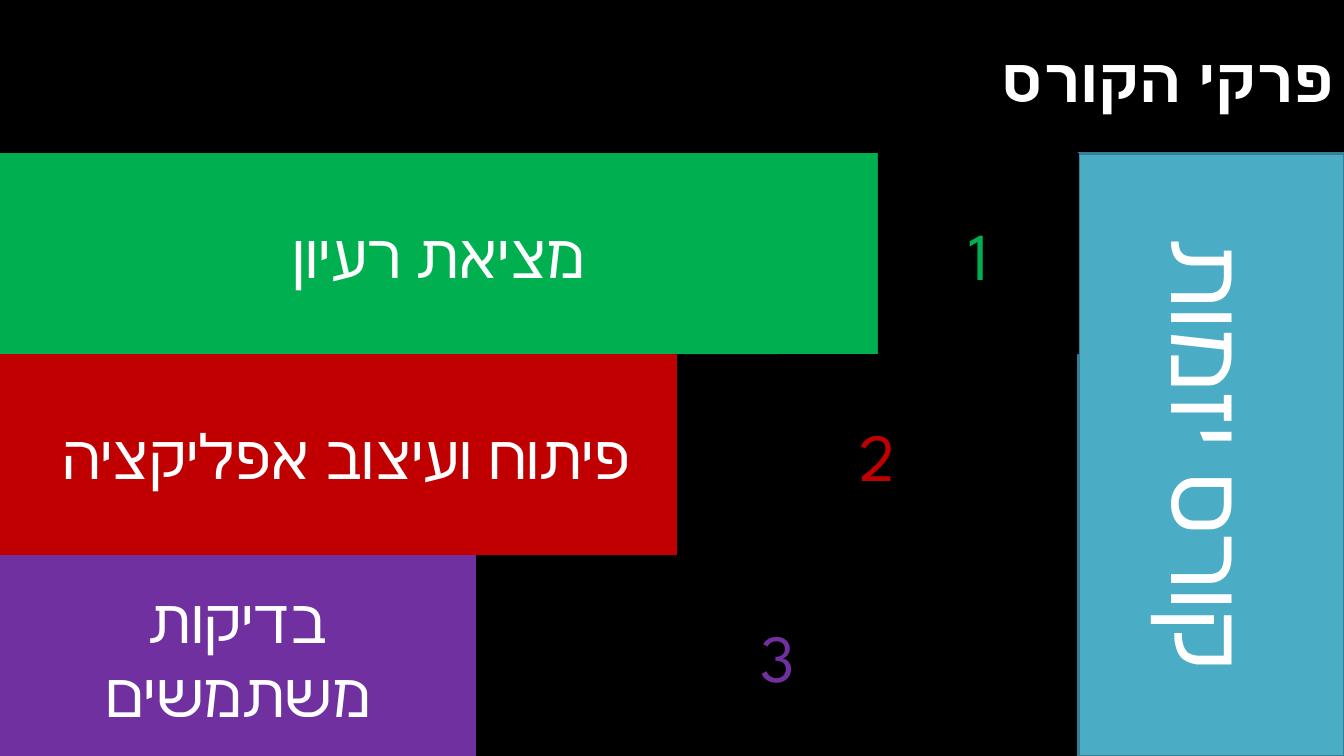
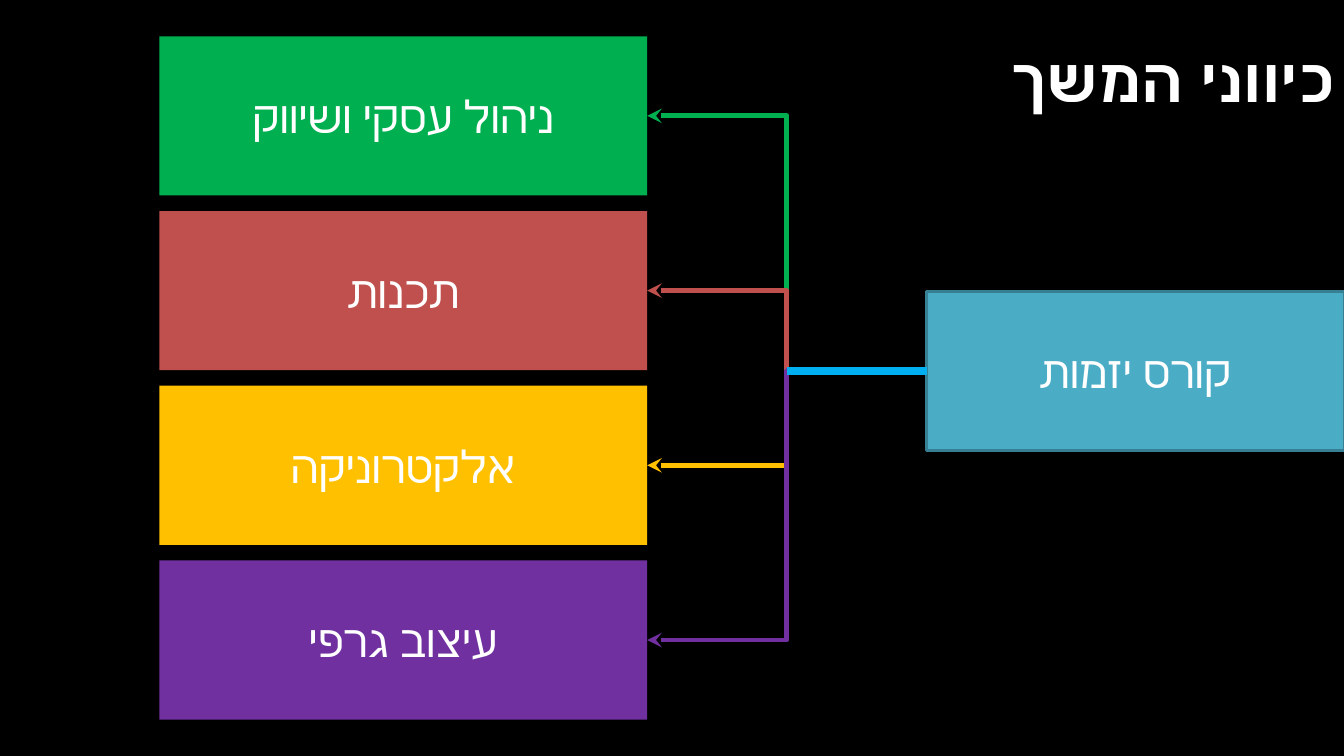
import pptx
import pptx.util
import pptx.dml.color
import pptx.enum.shapes
import pptx.enum.text
import pptx.oxml.ns
from lxml import etree

Inches, Pt = pptx.util.Inches, pptx.util.Pt
RGBColor = pptx.dml.color.RGBColor
PP_ALIGN = pptx.enum.text.PP_ALIGN
MSO_ANCHOR = pptx.enum.text.MSO_ANCHOR
MSO_SHAPE = pptx.enum.shapes.MSO_SHAPE
MSO_CONNECTOR = pptx.enum.shapes.MSO_CONNECTOR
qn = pptx.oxml.ns.qn

BLACK = RGBColor(0x00, 0x00, 0x00)
WHITE = RGBColor(0xFF, 0xFF, 0xFF)
GREEN = RGBColor(0x00, 0xB0, 0x50)
RED = RGBColor(0xC0, 0x00, 0x00)
BRICK = RGBColor(0xC0, 0x50, 0x4D)
AMBER = RGBColor(0xFF, 0xC0, 0x00)
PURPLE = RGBColor(0x70, 0x30, 0xA0)
TEAL = RGBColor(0x4B, 0xAC, 0xC6)
TEAL_EDGE = RGBColor(0x37, 0x7F, 0x92)
SKY = RGBColor(0x00, 0xB0, 0xF0)

FONT = "League Spartan"
SLIDE_W, SLIDE_H = 13.33, 7.5
COURSE = "קורס יזמות"
CHAPTERS = [
    ("מציאת רעיון", GREEN),
    ("פיתוח ועיצוב אפליקציה ", RED),
    ("בדיקות משתמשים", PURPLE),
]
DIRECTIONS = [
    ("ניהול עסקי ושיווק", GREEN),
    ("תכנות", BRICK),
    ("אלקטרוניקה", AMBER),
    ("עיצוב גרפי", PURPLE),
]


def set_text(sp, text, size, color=WHITE, align=PP_ALIGN.CENTER, bold=False):
    """Write one right-to-left paragraph, with the font set for Hebrew too."""
    tf = sp.text_frame
    tf.text = text
    tf.word_wrap = True
    tf.vertical_anchor = MSO_ANCHOR.MIDDLE
    p = tf.paragraphs[0]
    p.alignment = align
    p._p.get_or_add_pPr().set("rtl", "1")
    r = p.runs[0]
    r.font.name = FONT
    r.font.size = Pt(size)
    r.font.bold = bold
    r.font.color.rgb = color
    etree.SubElement(r._r.get_or_add_rPr(), qn("a:cs"), typeface=FONT)


def add_box(s, x, y, w, h, fill, text, size, color=WHITE, edge=None):
    sp = s.shapes.add_shape(MSO_SHAPE.RECTANGLE, Inches(x), Inches(y),
                            Inches(w), Inches(h))
    sp.shadow.inherit = False
    sp.fill.solid()
    sp.fill.fore_color.rgb = fill
    if edge is None:
        sp.line.fill.background()
    else:
        sp.line.color.rgb = edge
        sp.line.width = Pt(2)
    set_text(sp, text, size, color)
    return sp


def add_line(s, kind, start, end, color, width):
    line = s.shapes.add_connector(kind, *(Inches(v) for v in (*start, *end)))
    line.line.color.rgb = color
    line.line.width = Pt(width)
    etree.SubElement(line._element.spPr, qn("a:effectLst"))
    return line


def add_titled_slide(prs, title):
    s = prs.slides.add_slide(prs.slide_layouts[5])
    sp = s.shapes.title
    sp.left, sp.top = Inches(0.67), Inches(0)
    sp.width, sp.height = Inches(12.67), Inches(1.55)
    set_text(sp, title, 44, align=PP_ALIGN.RIGHT, bold=True)
    return s


def add_chapter_steps(s, x, y, w, h):
    """Stack bars that shorten downwards, each number centred in the gap."""
    row = h / len(CHAPTERS)
    for i, (name, color) in enumerate(CHAPTERS):
        top = y + i * row
        bar_w = w - (i + 1) * row
        add_box(s, x, top, bar_w, row, color, name, 44)
        number_x = x + (bar_w + w - row) / 2
        add_box(s, number_x, top, row, row, BLACK, str(i + 1), 48, color)


def add_course_column(s, x, y, w, h):
    """Fill the region with a box turned by 90 degrees."""
    sp = add_box(s, x + (w - h) / 2, y + (h - w) / 2, h, w, TEAL, COURSE, 72,
                 edge=TEAL_EDGE)
    sp.rotation = 90


def add_direction_tree(s, x, y, w, h):
    """Branch from the course box on the right to the directions on the left."""
    box_h, box_w, course_w = 1.58, 4.84, 4.14
    course_x, course_y = x + w - course_w, 2.89
    course = add_box(s, course_x, course_y, course_w, box_h, TEAL, COURSE, 32,
                     edge=TEAL_EDGE)
    start = (course_x, course_y + box_h / 2)
    pitch = (h - box_h) / (len(DIRECTIONS) - 1)
    for i, (name, color) in enumerate(DIRECTIONS):
        top = y + i * pitch
        box = add_box(s, x, top, box_w, box_h, color, name, 32)
        arrow = add_line(s, MSO_CONNECTOR.ELBOW, start,
                         (x + box_w, top + box_h / 2), color, 3.5)
        arrow.begin_connect(course, 1)
        arrow.end_connect(box, 3)
        etree.SubElement(arrow.line._get_or_add_ln(), qn("a:tailEnd"),
                         type="stealth")
    fork_x = (x + box_w + course_x) / 2
    trunk = add_line(s, MSO_CONNECTOR.STRAIGHT, start, (fork_x, start[1]),
                     SKY, 6)
    trunk.begin_connect(course, 1)


def add_chapters_slide(prs):
    s = add_titled_slide(prs, "פרקי הקורס")
    top, column_w = 1.52, 2.63
    height = SLIDE_H - top
    add_course_column(s, SLIDE_W - column_w, top, column_w, height)
    add_chapter_steps(s, 0, top, SLIDE_W - column_w, height)


def add_directions_slide(prs):
    s = add_titled_slide(prs, "כיווני המשך")
    left = 1.58
    add_direction_tree(s, left, 0.36, SLIDE_W - left, 6.78)


def main():
    prs = pptx.Presentation()
    prs.slide_width, prs.slide_height = Inches(SLIDE_W), Inches(SLIDE_H)
    background = prs.slide_master.background.fill
    background.solid()
    background.fore_color.rgb = BLACK
    add_chapters_slide(prs)
    add_directions_slide(prs)
    prs.save("out.pptx")


if __name__ == "__main__":
    main()
